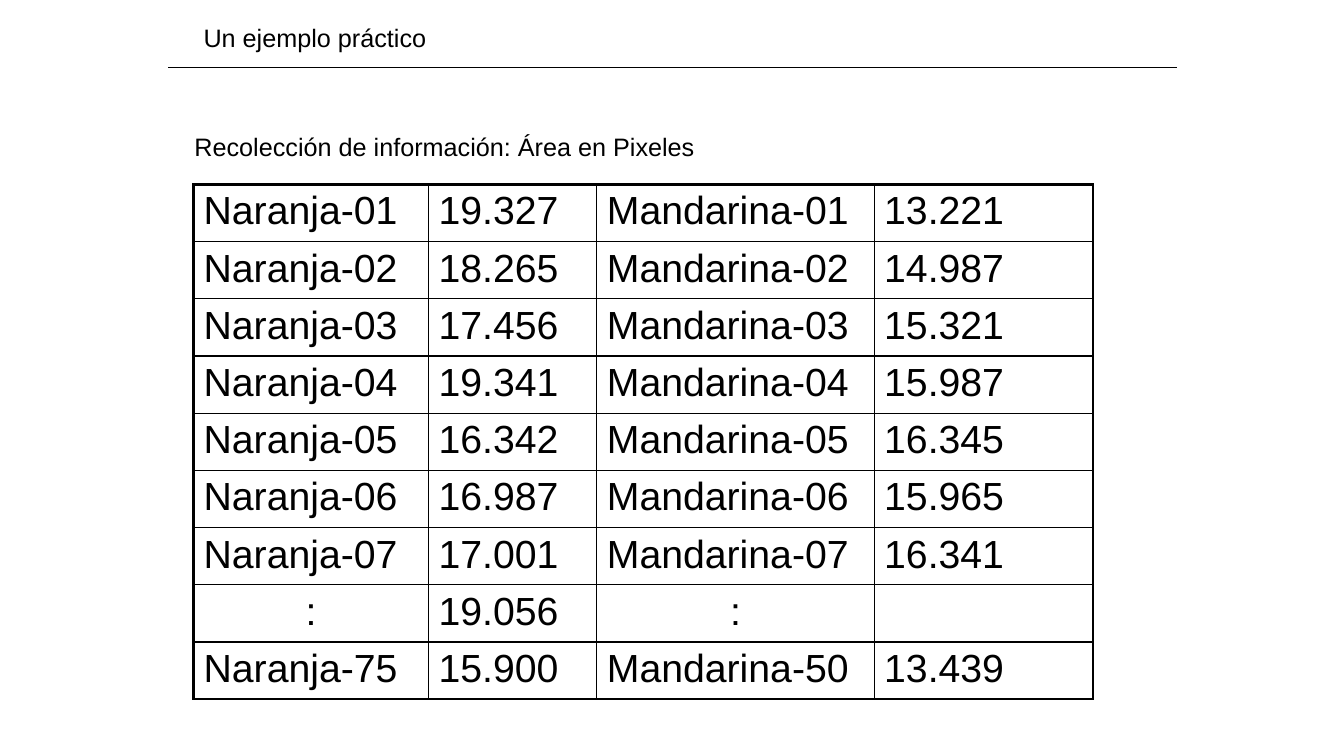
from typing import NamedTuple

from lxml.etree import SubElement
from pptx import Presentation
from pptx.dml.color import RGBColor
from pptx.enum.shapes import MSO_CONNECTOR
from pptx.enum.text import MSO_AUTO_SIZE as AUTO_SIZE, PP_ALIGN as ALIGN
from pptx.oxml.ns import qn
from pptx.util import Inches, Pt

BLACK = "000000"
OUTER, INNER = 2.25, 1.0
TABLE_HEIGHT = 5.1
COLUMN_WIDTHS = (2.33, 1.67, 2.75, 2.17)


class Heading(NamedTuple):
    text: str
    left: float
    top: float
    width: float
    height: float


class Sample(NamedTuple):
    orange: str
    orange_area: str
    mandarin: str
    mandarin_area: str


HEADINGS = [
    Heading("Un ejemplo práctico", 1.92, 0.17, 2.41, 0.4),
    Heading("Recolección de información: Área en Pixeles", 1.83, 1.25, 5.19, 1.01),
]
SAMPLES = [
    Sample("Naranja-01", "19.327", "Mandarina-01", "13.221"),
    Sample("Naranja-02", "18.265", "Mandarina-02", "14.987"),
    Sample("Naranja-03", "17.456", "Mandarina-03", "15.321"),
    Sample("Naranja-04", "19.341", "Mandarina-04", "15.987"),
    Sample("Naranja-05", "16.342", "Mandarina-05", "16.345"),
    Sample("Naranja-06", "16.987", "Mandarina-06", "15.965"),
    Sample("Naranja-07", "17.001", "Mandarina-07", "16.341"),
    Sample(":", "19.056", ":", ""),
    Sample("Naranja-75", "15.900", "Mandarina-50", "13.439"),
]


def color(value: str) -> RGBColor:
    return RGBColor.from_string(value)


def write(frame, text: str, *, size: float, align=ALIGN.LEFT, before: int = 0) -> None:
    """Fill the first paragraph; before is the space above it in percent."""
    paragraph = frame.paragraphs[0]
    paragraph.alignment = align
    if before:
        spacing = SubElement(paragraph._p.get_or_add_pPr(), qn("a:spcBef"))
        SubElement(spacing, qn("a:spcPct"), val=str(before * 1000))
    run = paragraph.add_run()
    run.text = text
    run.font.size = Pt(size)
    run.font.name = "Arial"
    run.font.color.rgb = color(BLACK)


def draw_heading(slide, heading: Heading) -> None:
    box = slide.shapes.add_textbox(*(Inches(length) for length in heading[1:]))
    box.text_frame.word_wrap = False
    box.text_frame.auto_size = AUTO_SIZE.SHAPE_TO_FIT_TEXT
    write(box.text_frame, heading.text, size=18)


def draw_rule(slide) -> None:
    rule = slide.shapes.add_connector(
        MSO_CONNECTOR.STRAIGHT, Inches(1.67), Inches(0.67), Inches(11.67), Inches(0.67))
    rule.line.color.rgb = color(BLACK)
    rule.line.width = Pt(0.75)
    SubElement(rule._element.spPr, qn("a:effectLst"))


def set_borders(cell, widths: dict[str, float]) -> None:
    properties = cell._tc.get_or_add_tcPr()
    for side, width in widths.items():
        border = SubElement(properties, qn(f"a:ln{side}"), w=str(Pt(width)))
        fill = SubElement(border, qn("a:solidFill"))
        SubElement(fill, qn("a:srgbClr"), val=BLACK)


def draw_samples(slide) -> None:
    last_row, last_column = len(SAMPLES) - 1, len(COLUMN_WIDTHS) - 1
    table = slide.shapes.add_table(
        len(SAMPLES), len(COLUMN_WIDTHS), Inches(1.92), Inches(1.83),
        Inches(sum(COLUMN_WIDTHS)), Inches(TABLE_HEIGHT)).table
    table.first_row = table.horz_banding = False
    for column, width in zip(table.columns, COLUMN_WIDTHS):
        column.width = Inches(width)
    for r, sample in enumerate(SAMPLES):
        table.rows[r].height = Inches(TABLE_HEIGHT / len(SAMPLES))
        for c, text in enumerate(sample):
            cell = table.cell(r, c)
            set_borders(cell, {
                "L": OUTER if c == 0 else INNER,
                "R": OUTER if c == last_column else INNER,
                "T": OUTER if r == 0 else INNER,
                "B": OUTER if r == last_row else INNER,
            })
            cell.fill.background()
            if text:
                align = ALIGN.CENTER if text == ":" else ALIGN.LEFT
                write(cell.text_frame, text, size=28, align=align, before=20)


def main() -> None:
    deck = Presentation()
    deck.slide_width, deck.slide_height = Inches(13.33), Inches(7.5)
    slide = deck.slides.add_slide(deck.slide_layouts[6])
    for heading in HEADINGS:
        draw_heading(slide, heading)
    draw_rule(slide)
    draw_samples(slide)
    deck.save("out.pptx")


if __name__ == "__main__":
    main()
